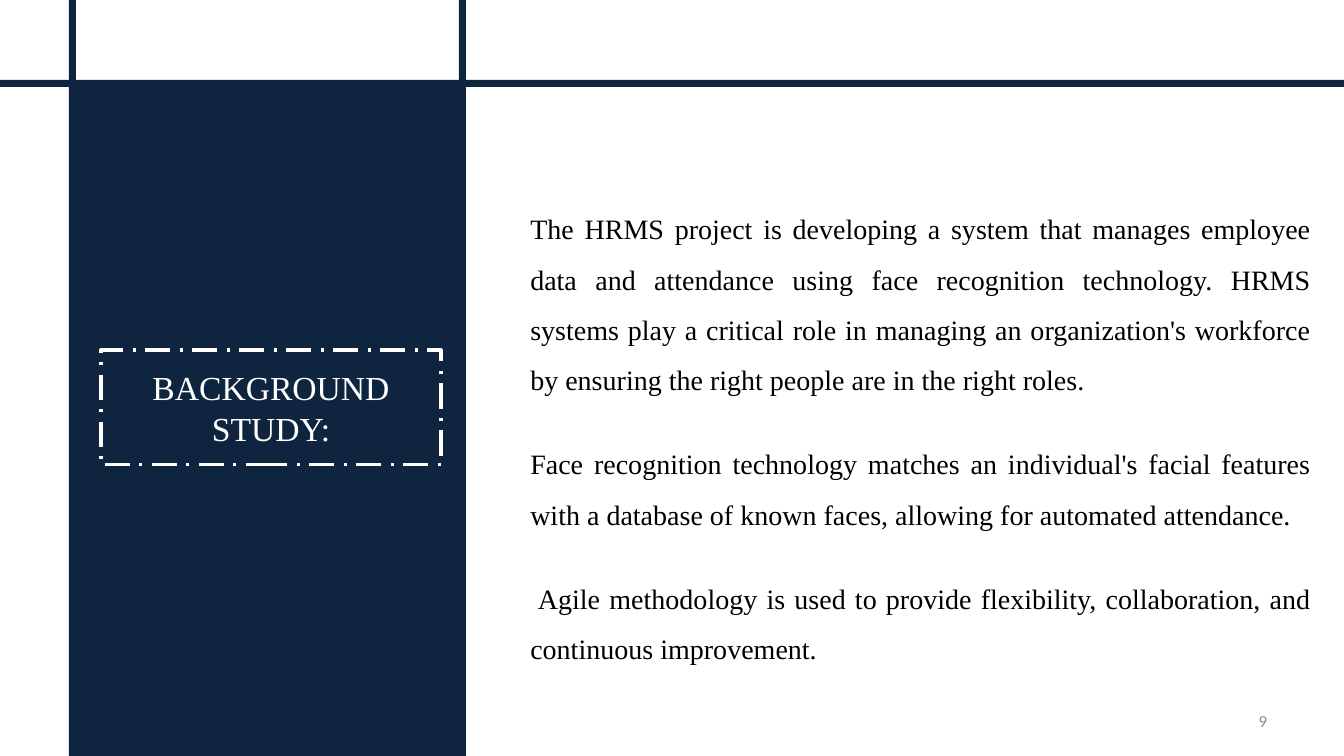
import pptx
import pptx.util
import pptx.dml.color
import pptx.enum.dml
import pptx.enum.shapes
import pptx.enum.text

PX = 914400 / 100.8
WIDTH, HEIGHT = 1344, 756
NAVY, WHITE, BLACK, GRAY = "0F243E", "FFFFFF", "000000", "8C8C8C"
SERIF = "Times New Roman"
ALIGN = pptx.enum.text.PP_ALIGN
MIDDLE = pptx.enum.text.MSO_ANCHOR.MIDDLE


def emu(*lengths):
    """Turn px lengths into EMU."""
    return [round(n * PX) for n in lengths]


def style(p, align, size, font, color):
    p.alignment = align
    for r in p.runs:
        r.font.size = pptx.util.Pt(size)
        r.font.name = font
        r.font.color.rgb = pptx.dml.color.RGBColor.from_string(color)


prs = pptx.Presentation()
prs.slide_width, prs.slide_height = emu(WIDTH, HEIGHT)
s = prs.slides.add_slide(prs.slide_layouts[6])
rect = pptx.enum.shapes.MSO_SHAPE.RECTANGLE

# Side panel and the bars that cross at its corners
bar = 7
for box in [
    (73, 86, 393, 670),
    (69, 0, bar, HEIGHT),
    (0, 80, WIDTH, bar),
    (459, 0, bar, HEIGHT),
]:
    sp = s.shapes.add_shape(rect, *emu(*box))
    sp.shadow.inherit = False
    sp.fill.solid()
    sp.fill.fore_color.rgb = pptx.dml.color.RGBColor.from_string(NAVY)
    sp.line.fill.background()

# Title in a dashed frame
title = s.shapes.add_shape(rect, *emu(101, 350, 340, 115))
title.shadow.inherit = False
title.fill.background()
title.line.color.rgb = pptx.dml.color.RGBColor.from_string(WHITE)
title.line.width = pptx.util.Pt(2.25)
title.line.dash_style = pptx.enum.dml.MSO_LINE.LONG_DASH_DOT
tf = title.text_frame
tf.word_wrap = True
tf.vertical_anchor = MIDDLE
tf.text = "BACKGROUND STUDY:"
style(tf.paragraphs[0], ALIGN.CENTER, 24, SERIF, WHITE)

# Body text
paragraphs = [
    "The HRMS project is developing a system that manages employee data and "
    "attendance using face recognition technology. HRMS systems play a critical "
    "role in managing an organization's workforce by ensuring the right people "
    "are in the right roles.",
    "Face recognition technology matches an individual's facial features with a "
    "database of known faces, allowing for automated attendance.",
    " Agile methodology is used to provide flexibility, collaboration, and "
    "continuous improvement.",
]
tf = s.shapes.add_textbox(*emu(470, 190, 851, 479)).text_frame
tf.word_wrap = True
for i, text in enumerate(paragraphs):
    p = tf.add_paragraph() if i else tf.paragraphs[0]
    p.text = text
    p.line_spacing = 1.5
    p.space_before = p.space_after = pptx.util.Pt(12)
    p._p.get_or_add_pPr().set("marL", str(pptx.util.Inches(0.5)))
    style(p, ALIGN.JUSTIFY, 20, SERIF, BLACK)

# Slide number
tf = s.shapes.add_textbox(*emu(964, 701, 313, 40)).text_frame
tf.word_wrap = True
tf.vertical_anchor = MIDDLE
tf.text = "9"
style(tf.paragraphs[0], ALIGN.RIGHT, 12, "Calibri", GRAY)

prs.save("out.pptx")
